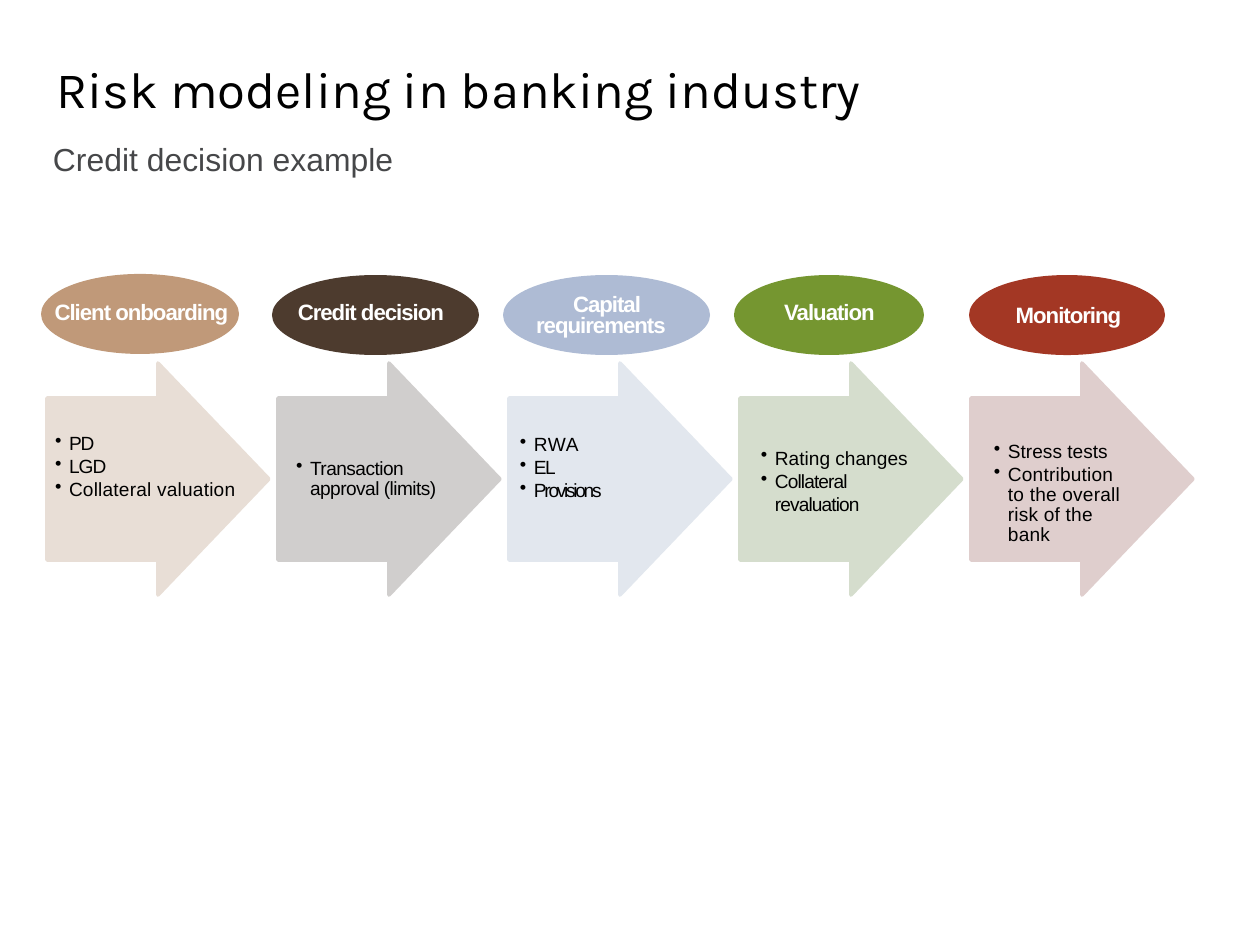
from dataclasses import dataclass
from typing import NamedTuple

from lxml.etree import SubElement
from pptx import Presentation
from pptx.dml.color import RGBColor
from pptx.enum.shapes import MSO_SHAPE as Preset
from pptx.enum.text import MSO_ANCHOR as Anchor, PP_ALIGN as Align
from pptx.oxml.ns import qn
from pptx.util import Emu, Pt

PX = 914400 / 126
BLACK = RGBColor(0x00, 0x00, 0x00)
WHITE = RGBColor(0xFF, 0xFF, 0xFF)
GREY = RGBColor(0x46, 0x47, 0x49)
TAN = RGBColor(0xC0, 0x99, 0x79)
PALE_TAN = RGBColor(0xE8, 0xDE, 0xD6)
BROWN = RGBColor(0x4D, 0x3B, 0x2E)
PALE_BROWN = RGBColor(0xD0, 0xCE, 0xCD)
BLUE = RGBColor(0xAE, 0xBB, 0xD4)
PALE_BLUE = RGBColor(0xE2, 0xE7, 0xEE)
GREEN = RGBColor(0x75, 0x96, 0x30)
PALE_GREEN = RGBColor(0xD5, 0xDD, 0xCD)
RED = RGBColor(0xA3, 0x37, 0x24)
PALE_RED = RGBColor(0xDF, 0xCE, 0xCD)

TITLE_FONT = {"name": "Karla", "size": Pt(29.1)}
SUBTITLE_FONT = {"name": "Arial", "size": Pt(18.2)}
LABEL_FONT = {"name": "Arial", "size": Pt(12.7), "bold": True}
BULLET_FONT = {"name": "Arial", "size": Pt(10.9)}
TIGHT_LINE = {"line_spacing": Pt(11.4)}
LABEL_PARA = {"alignment": Align.CENTER, "line_spacing": Pt(11.6)}

ARROW_LEFT, ARROW_STEP = 47, 231


class Area(NamedTuple):
    left: int
    top: int
    width: int
    height: int


class Piece(NamedTuple):
    text: str
    tracking: float = 0


@dataclass
class Bullet:
    pieces: list[Piece]
    layout: dict


@dataclass
class Stage:
    label: Piece
    label_area: Area
    oval_area: Area
    bullet_area: Area
    bullets: list[Bullet]
    dark: RGBColor
    pale: RGBColor


STAGES = [
    Stage(Piece("Client onboarding", -0.6), Area(34, 305, 203, 30),
          Area(41, 274, 198, 80), Area(53, 431, 184, 92),
          [Bullet([Piece("PD", -0.6)], {}),
           Bullet([Piece("LGD", -0.5)], {"space_before": Pt(0.1)}),
           Bullet([Piece("Collateral valuation", 0.1)],
                  TIGHT_LINE | {"space_before": Pt(2)})],
          TAN, PALE_TAN),
    Stage(Piece("Credit decision ", -0.6), Area(266, 305, 203, 30),
          Area(272, 275, 207, 80), Area(294, 459, 144, 64),
          [Bullet([Piece("Transaction approval (limits)", -0.3)], TIGHT_LINE)],
          BROWN, PALE_BROWN),
    Stage(Piece("Capital requirements", -0.6), Area(499, 297, 203, 30),
          Area(503, 275, 207, 80), Area(518, 432, 152, 94),
          [Bullet([Piece("R", -0.3), Piece("W", -0.7), Piece("A", 0.6)], {}),
           Bullet([Piece("EL", -0.9)], {"space_before": Pt(0.2)}),
           Bullet([Piece("Provisions", -1.3)], {"space_before": Pt(0.2)})],
          BLUE, PALE_BLUE),
    Stage(Piece("Valuation", -0.6), Area(722, 305, 203, 30),
          Area(734, 275, 190, 80), Area(759, 449, 165, 64),
          [Bullet([Piece("Rating changes")], TIGHT_LINE),
           Bullet([Piece("Collateral revaluation", -0.5)],
                  {"space_before": Pt(0.1)})],
          GREEN, PALE_GREEN),
    Stage(Piece("Monitoring", -0.6), Area(961, 308, 203, 30),
          Area(969, 275, 196, 80), Area(992, 442, 141, 105),
          [Bullet([Piece("Stress tests")], TIGHT_LINE),
           Bullet([Piece("Contribution to the overall risk of the bank", 0.1)],
                  TIGHT_LINE | {"space_before": Pt(1.9)})],
          RED, PALE_RED),
]


def px(length: float) -> Emu:
    return Emu(round(length * PX))


def apply(target, values: dict) -> None:
    for name, value in values.items():
        setattr(target, name, value)


def add_box(page, area: Area, inset: int = 0):
    frame = page.shapes.add_textbox(*map(px, area)).text_frame
    apply(frame, {"word_wrap": True})
    apply(frame, {f"margin_{side}": px(inset)
                  for side in ("left", "top", "right", "bottom")})
    return frame


def add_span(para, piece: Piece, font: dict, color: RGBColor) -> None:
    span = para.add_run()
    span.text = piece.text
    apply(span.font, font)
    span.font.color.rgb = color
    if piece.tracking:
        span.font._element.set("spc", str(round(piece.tracking * 100)))


def set_indent(para, left: int, first: int):
    properties = para._p.get_or_add_pPr()
    properties.set("marL", str(px(left)))
    properties.set("indent", str(px(first)))
    return properties


def add_shape(page, preset: Preset, area: Area, color: RGBColor):
    shape = page.shapes.add_shape(preset, *map(px, area))
    shape.shadow.inherit = False
    shape.fill.solid()
    shape.fill.fore_color.rgb = color
    shape.line.fill.background()
    return shape


def add_arrow(page, left: int, color: RGBColor) -> None:
    arrow = add_shape(page, Preset.RIGHT_ARROW, Area(left, 363, 222, 232), color)
    arrow.adjustments[0] = 0.7
    arrow.adjustments[1] = 0.5
    arrow.line.color.rgb = color
    arrow.line.width = Pt(2)
    SubElement(arrow._element.spPr.find(qn("a:ln")), qn("a:round"))


def add_bullets(page, area: Area, bullets: list[Bullet]) -> None:
    frame = add_box(page, area)
    for index, bullet in enumerate(bullets):
        para = frame.add_paragraph() if index else frame.paragraphs[0]
        apply(para, bullet.layout)
        properties = set_indent(para, 16, -14)
        SubElement(properties, qn("a:buChar")).set("char", "•")
        for piece in bullet.pieces:
            add_span(para, piece, BULLET_FONT, BLACK)


def add_label(page, area: Area, label: Piece) -> None:
    para = add_box(page, area).paragraphs[0]
    apply(para, LABEL_PARA)
    set_indent(para, 1, 11)
    add_span(para, label, LABEL_FONT, WHITE)


def add_headings(page) -> None:
    subtitle = add_box(page, Area(53, 140, 1152, 34)).paragraphs[0]
    add_span(subtitle, Piece("Credit decision example"), SUBTITLE_FONT, GREY)
    frame = add_box(page, Area(43, 34, 1152, 118), 13)
    frame.vertical_anchor = Anchor.MIDDLE
    title = frame.paragraphs[0]
    title.line_spacing = Pt(29.1)
    add_span(title, Piece("Risk modeling in banking industry"), TITLE_FONT, BLACK)


def main() -> None:
    deck = Presentation()
    apply(deck, {"slide_width": px(1260), "slide_height": px(945)})
    page = deck.slides.add_slide(deck.slide_layouts[6])
    add_headings(page)
    for index, stage in enumerate(STAGES):
        add_arrow(page, ARROW_LEFT + index * ARROW_STEP, stage.pale)
        add_bullets(page, stage.bullet_area, stage.bullets)
        add_shape(page, Preset.OVAL, stage.oval_area, stage.dark)
        add_label(page, stage.label_area, stage.label)
    deck.save("out.pptx")


if __name__ == "__main__":
    main()
